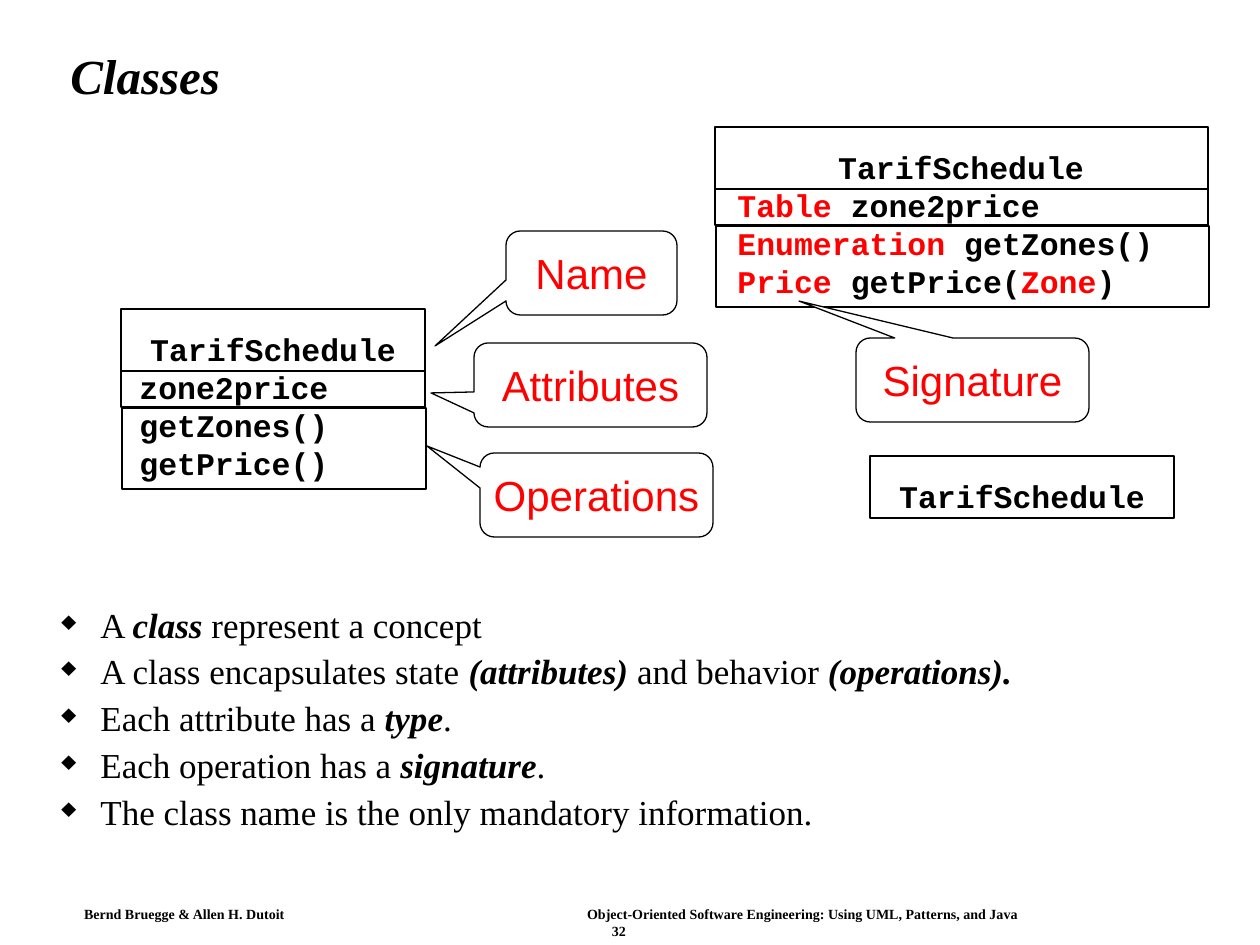
from dataclasses import dataclass

from lxml.etree import SubElement
from pptx import Presentation
from pptx.dml.color import RGBColor
from pptx.enum.shapes import MSO_SHAPE
from pptx.enum.text import MSO_ANCHOR, PP_ALIGN
from pptx.oxml.ns import qn
from pptx.util import Pt


@dataclass(frozen=True)
class Theme:
    """Hold the colours, fonts and type sizes."""
    ink: RGBColor = RGBColor(0, 0, 0)
    paper: RGBColor = RGBColor(255, 255, 255)
    red: RGBColor = RGBColor(255, 0, 0)
    serif: str = "Times New Roman"
    sans: str = "Arial"
    mono: str = "Courier New"
    title: int = 28
    call: int = 24
    body: int = 20
    code: int = 18
    foot: int = 8


THEME = Theme()
SCALE = 914400 / 126


def px(*sizes):
    """Turn pixels into EMU."""
    return [round(size * SCALE) for size in sizes]


def write(frame, lines, *, font=THEME.serif, size=THEME.body, color=THEME.ink,
          bold=False, slant=False, accent=None, align=PP_ALIGN.LEFT,
          anchor=MSO_ANCHOR.TOP, wrap=True, pad=None, lead=None, before=None):
    """Fill a frame with lines, where starred parts take the accent."""
    frame.word_wrap = wrap
    frame.vertical_anchor = anchor
    if pad is not None:
        frame.margin_left, frame.margin_top = px(*pad)
        frame.margin_right, frame.margin_bottom = px(*pad)
    for row, line in enumerate(lines):
        para = frame.add_paragraph() if row else frame.paragraphs[0]
        para.alignment = align
        para.line_spacing = lead
        if before is not None:
            para.space_before = Pt(before)
        for step, part in enumerate(line.split("*")):
            if not part:
                continue
            run = para.add_run()
            run.text = part
            face = run.font
            face.name, face.size = font, Pt(size)
            face.bold, face.italic = bold, slant
            face.color.rgb = color
            if step % 2 and accent:
                face.color.rgb = accent
            elif step % 2:
                face.bold = face.italic = True
    return frame.paragraphs


def text(shapes, place, lines, **form):
    """Add a text box and return its paragraphs."""
    return write(shapes.add_textbox(*px(*place)).text_frame, lines, **form)


def shape(shapes, kind, place, width, fill=None):
    """Add an outlined shape without a shadow."""
    item = shapes.add_shape(kind, *px(*place))
    item.shadow.inherit = False
    item.line.color.rgb = THEME.ink
    item.line.width = Pt(width)
    if fill is None:
        item.fill.background()
    else:
        item.fill.solid()
        item.fill.fore_color.rgb = fill
    return item


def uml(slide, left, top, width, rows=(), inset=0):
    """Add a class box with its name and optional members."""
    group = slide.shapes.add_group_shape().shapes
    parts = [(left, top, width, 62)]
    if rows:
        text(group, (left + inset, top + 53, width - inset, 126), rows,
             font=THEME.mono, size=THEME.code, bold=True, accent=THEME.red)
        parts += [(left, top + 62, width, 36), (left + 1, top + 99, width, 81)]
    for part in parts:
        shape(group, MSO_SHAPE.RECTANGLE, part, 1.25)
    text(group, (left + (width - 246) // 2, top + 21, 246, 38),
         ["TarifSchedule"], font=THEME.mono, size=THEME.code, bold=True,
         align=PP_ALIGN.CENTER, wrap=False, pad=(0, 0))


def callout(slide, label, left, top, width, tip):
    """Add a rounded callout whose tail ends at the tip."""
    high = 84
    item = shape(slide.shapes, MSO_SHAPE.ROUNDED_RECTANGULAR_CALLOUT,
                 (left, top, width, high), 0.75, THEME.paper)
    item.adjustments[0] = (tip[0] - left) / width - 0.5
    item.adjustments[1] = (tip[1] - top) / high - 0.5
    item.adjustments[2] = 0.17
    write(item.text_frame, [label], font=THEME.sans, size=THEME.call,
          color=THEME.red, align=PP_ALIGN.CENTER, anchor=MSO_ANCHOR.MIDDLE,
          wrap=False)


def bullets(slide, place, lines):
    """Add a list with diamond bullets."""
    for para in text(slide.shapes, place, lines, lead=0.8, before=7.5):
        props = para._p.get_or_add_pPr()
        dent = px(39)[0]
        props.set("marL", str(dent))
        props.set("indent", str(-dent))
        tint = SubElement(props, qn("a:buClr"))
        SubElement(tint, qn("a:srgbClr"), val=str(THEME.ink))
        SubElement(props, qn("a:buSzPct"), val="75000")
        SubElement(props, qn("a:buChar"), char="♦")


def footer(slide):
    """Add the credits on a tab stop, with the page number below."""
    paras = text(slide.shapes, (74, 901, 1090, 44), [
        "Bernd Bruegge & Allen H. Dutoit\t"
        "Object-Oriented Software Engineering: Using UML, Patterns, and Java",
        "32"], size=THEME.foot, bold=True, pad=(10, 5))
    stops = SubElement(paras[0]._p.get_or_add_pPr(), qn("a:tabLst"))
    SubElement(stops, qn("a:tab"), pos=str(px(503)[0]), algn="l")
    paras[1].alignment = PP_ALIGN.CENTER


def main():
    """Build and save the slide."""
    deck = Presentation()
    deck.slide_width, deck.slide_height = px(1260, 945)
    slide = deck.slides.add_slide(deck.slide_layouts[6])
    footer(slide)
    text(slide.shapes, (58, 30, 1124, 97), ["Classes"], size=THEME.title,
         bold=True, slant=True, anchor=MSO_ANCHOR.MIDDLE, lead=0.9)
    bullets(slide, (49, 605, 1138, 252), [
        "A *class* represent a concept",
        "A class encapsulates state *(attributes)* and behavior *(operations).*",
        "Each attribute has a *type*.",
        "Each operation has a *signature*.",
        "The class name is the only mandatory information."])
    uml(slide, 121, 309, 304, ["zone2price", "getZones()", "getPrice()"], 6)
    uml(slide, 715, 127, 493, [
        "*Table* zone2price",
        "*Enumeration* getZones()",
        "*Price* getPrice(*Zone*)"], 10)
    for call in (("Name", 506, 231, 171, (435, 346)),
                 ("Attributes", 474, 343, 233, (431, 393)),
                 ("Operations", 480, 453, 233, (427, 446)),
                 ("Signature", 856, 338, 233, (799, 301))):
        callout(slide, *call)
    uml(slide, 870, 456, 304)
    deck.save("out.pptx")


if __name__ == "__main__":
    main()
